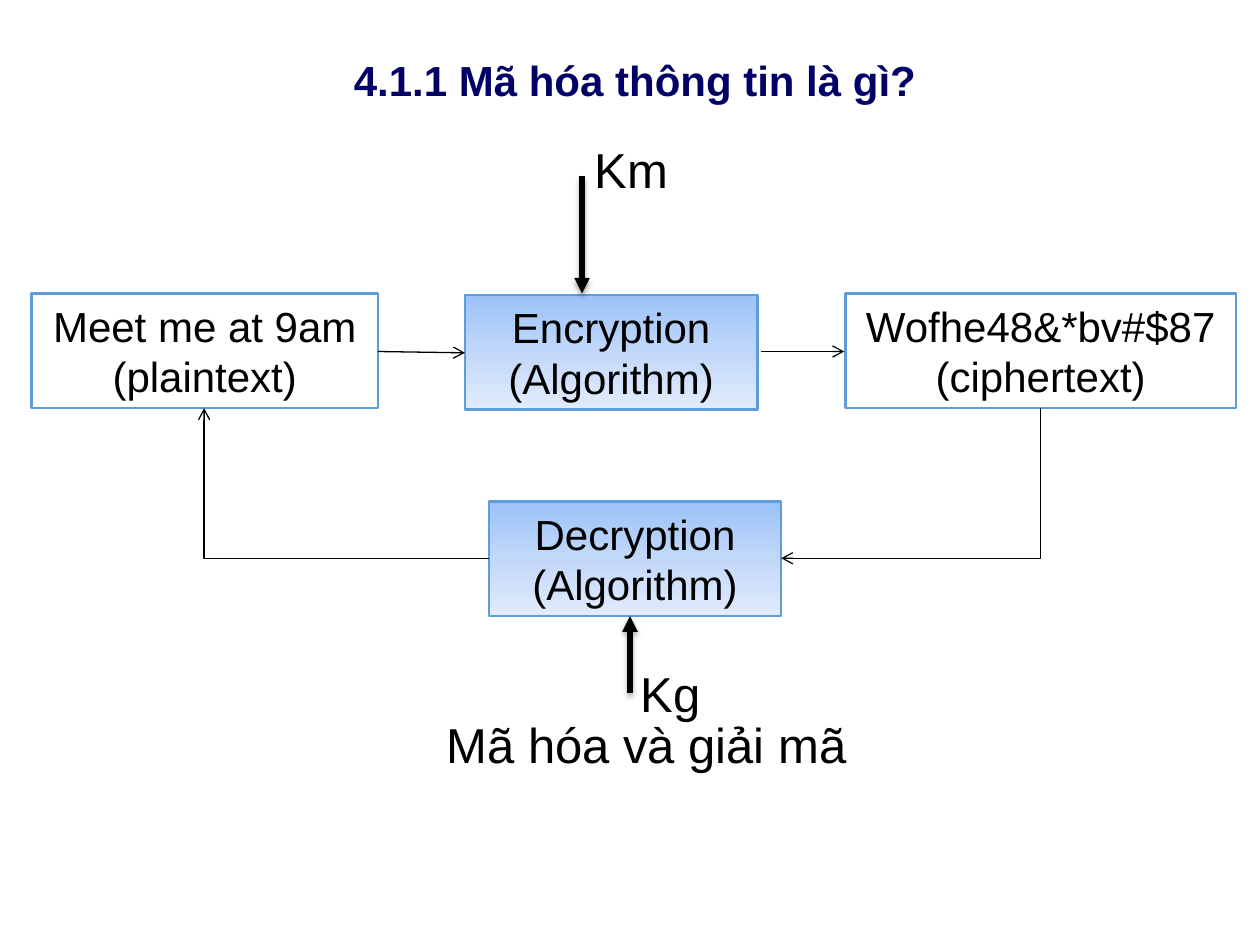
from copy import deepcopy

from lxml.etree import SubElement as Sub
from pptx import Presentation
from pptx.dml.color import RGBColor as Rgb
from pptx.enum.shapes import MSO_CONNECTOR as Link, MSO_SHAPE as Form
from pptx.enum.text import MSO_ANCHOR as Anchor, PP_ALIGN as Align
from pptx.oxml.ns import qn
from pptx.util import Pt

PX = 9144  # 100 px to the inch
COLORS = {"title": "000066", "ink": "000000", "edge": "5E9CDA"}
SHADES = ["9BC2F9", "C2D8FA", "E1EBFC"]
THIN = {"width": 0.75, "head": "arrow", "shadow": False}
THICK = {"width": 3, "head": "triangle", "shadow": True}


def emu(*vals):
    return [round(val * PX) for val in vals]


def write(shape, text, size, color="ink", bold=False, anchor=Anchor.MIDDLE):
    frame = shape.text_frame
    frame.word_wrap = True
    frame.vertical_anchor = anchor
    para = frame.paragraphs[0]
    para.text = text
    para.alignment = Align.CENTER
    style = {"name": "Arial", "size": Pt(size), "bold": bold}
    for run in para.runs:
        for key, val in style.items():
            setattr(run.font, key, val)
        run.font.color.rgb = Rgb.from_string(COLORS[color])


def label(slide, box, text, size=28, **look):
    write(slide.shapes.add_textbox(*emu(*box)), text, size, **look)


def shade(fill):
    """Fill from top to bottom through all SHADES at equal steps."""
    fill.gradient()
    fill.gradient_angle = 270
    first = fill.gradient_stops[0]._gs
    first.addnext(deepcopy(first))
    for num, (stop, color) in enumerate(zip(fill.gradient_stops, SHADES)):
        stop.position = num / (len(SHADES) - 1)
        stop.color.rgb = Rgb.from_string(color)


def node(slide, box, text, shaded=False):
    shape = slide.shapes.add_shape(Form.RECTANGLE, *emu(*box))
    shape.shadow.inherit = False
    if shaded:
        shade(shape.fill)
    else:
        shape.fill.background()
    shape.line.color.rgb = Rgb.from_string(COLORS["edge"])
    shape.line.width = Pt(1.5)
    write(shape, text, 24)


def arrow(slide, start, end, look, kind=Link.STRAIGHT):
    link = slide.shapes.add_connector(kind, *emu(*start, *end))
    link.line.color.rgb = Rgb.from_string(COLORS["ink"])
    link.line.width = Pt(look["width"])
    Sub(link.line._ln, qn("a:tailEnd"), type=look["head"])
    props = link._element.spPr
    effects = Sub(props, qn("a:effectLst"))
    if look["shadow"]:
        cast = Sub(effects, qn("a:outerShdw"), blurRad=str(Pt(3.1)),
                   dist=str(Pt(1.8)), dir="5400000", rotWithShape="0")
        tint = Sub(cast, qn("a:srgbClr"), val=COLORS["ink"])
        Sub(tint, qn("a:alpha"), val="35000")
    return props


def bend(slide, start, end, turn):
    """Arrow with one corner; turn is 90 (down, left) or 180 (left, up)."""
    (x1, y1), (x2, y2) = start, end
    wide, high = abs(x2 - x1), abs(y2 - y1)
    if turn == 90:
        wide, high = high, wide
    left, top = (x1 + x2 - wide) / 2, (y1 + y2 - high) / 2
    props = arrow(slide, (left, top), (left + wide, top + high), THIN, Link.ELBOW)
    props.find(qn("a:prstGeom")).set("prst", "bentConnector2")
    props.find(qn("a:xfrm")).set("rot", str(turn * 60000))


def flow(slide, left, top):
    """Cipher diagram with the plaintext box at left, top."""
    high = 91

    def at(x, y):
        return left + x, top + y

    node(slide, (*at(0, 0), 275, high), "Meet me at 9am\v(plaintext)")
    node(slide, (*at(344, 1), 232, high), "Encryption\v(Algorithm)", True)
    node(slide, (*at(646, 0), 310, high), "Wofhe48&*bv#$87\v(ciphertext)")
    node(slide, (*at(363, 165), 232, high), "Decryption\v(Algorithm)", True)

    arrow(slide, at(275, 46), at(344, 47), THIN)
    arrow(slide, at(579, 46), at(645, 46), THIN)
    bend(slide, at(801, high), at(595, 210), 90)
    bend(slide, at(363, 210), at(137, high), 180)
    arrow(slide, at(437, -93), at(437, 0), THICK)
    arrow(slide, at(475, 317), at(475, 256), THICK)

    for x, y, text in [(292, 329, "Mã hóa và giải mã"),
                       (280, -127, "Km"), (311, 289, "Kg")]:
        label(slide, (*at(x, y), 392, 57), text, anchor=Anchor.TOP)


def main():
    deck = Presentation()
    deck.slide_width, deck.slide_height = emu(1000, 750)
    slide = deck.slides.add_slide(deck.slide_layouts[6])
    label(slide, (25, 35, 958, 57), "4.1.1 Mã hóa thông tin là gì?",
          24, color="title", bold=True)
    flow(slide, 25, 233)
    deck.save("out.pptx")


if __name__ == "__main__":
    main()
